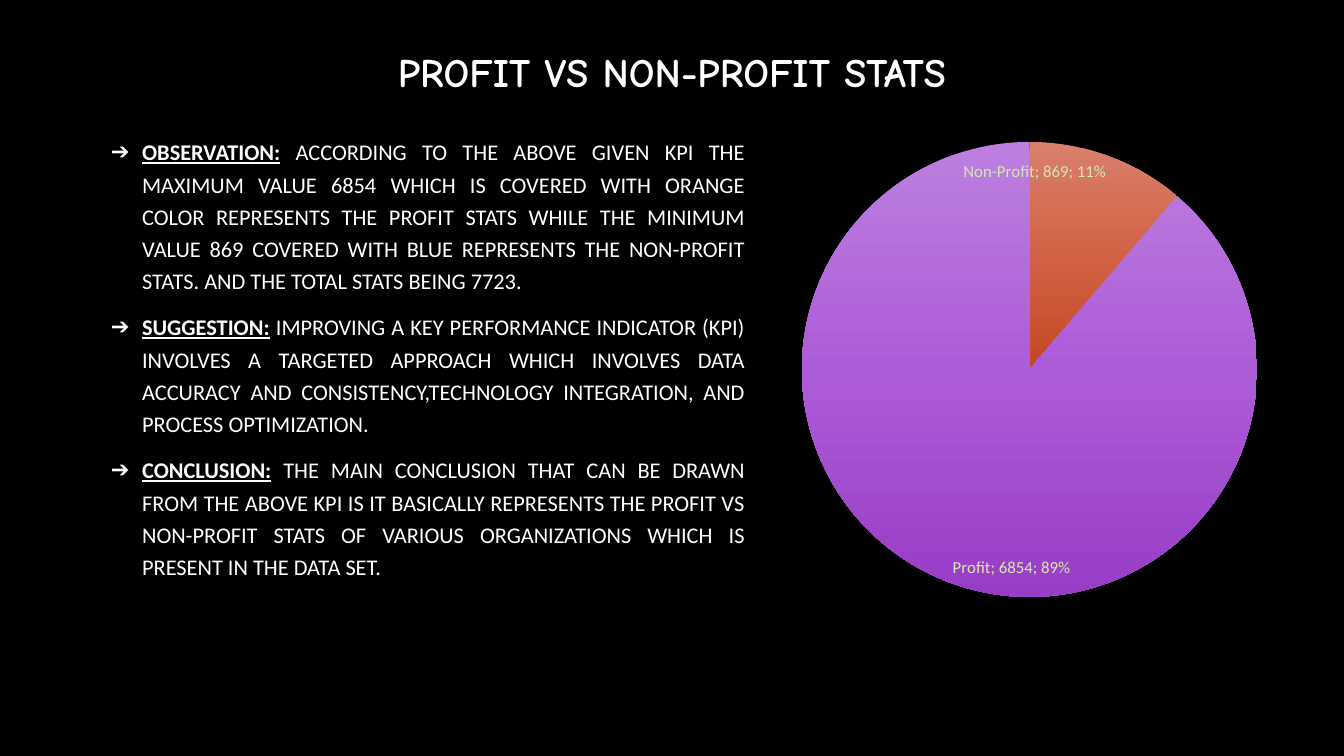
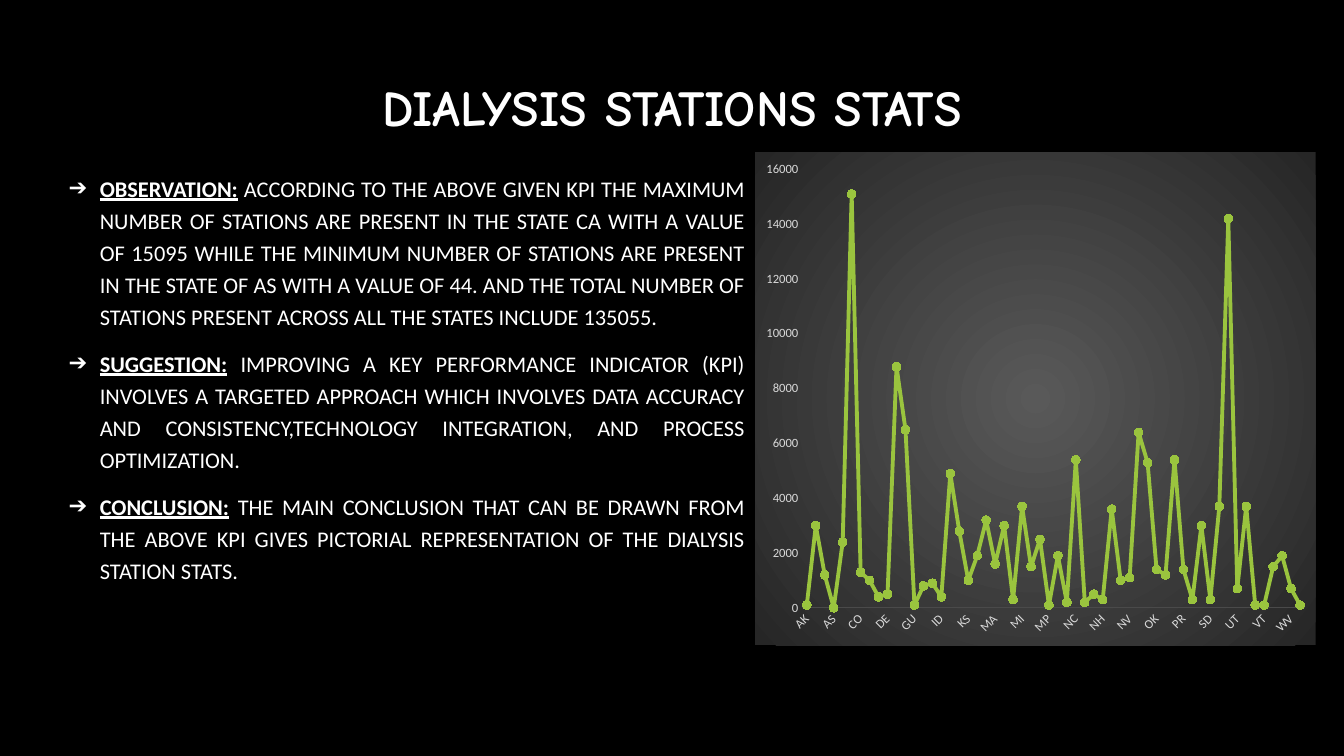
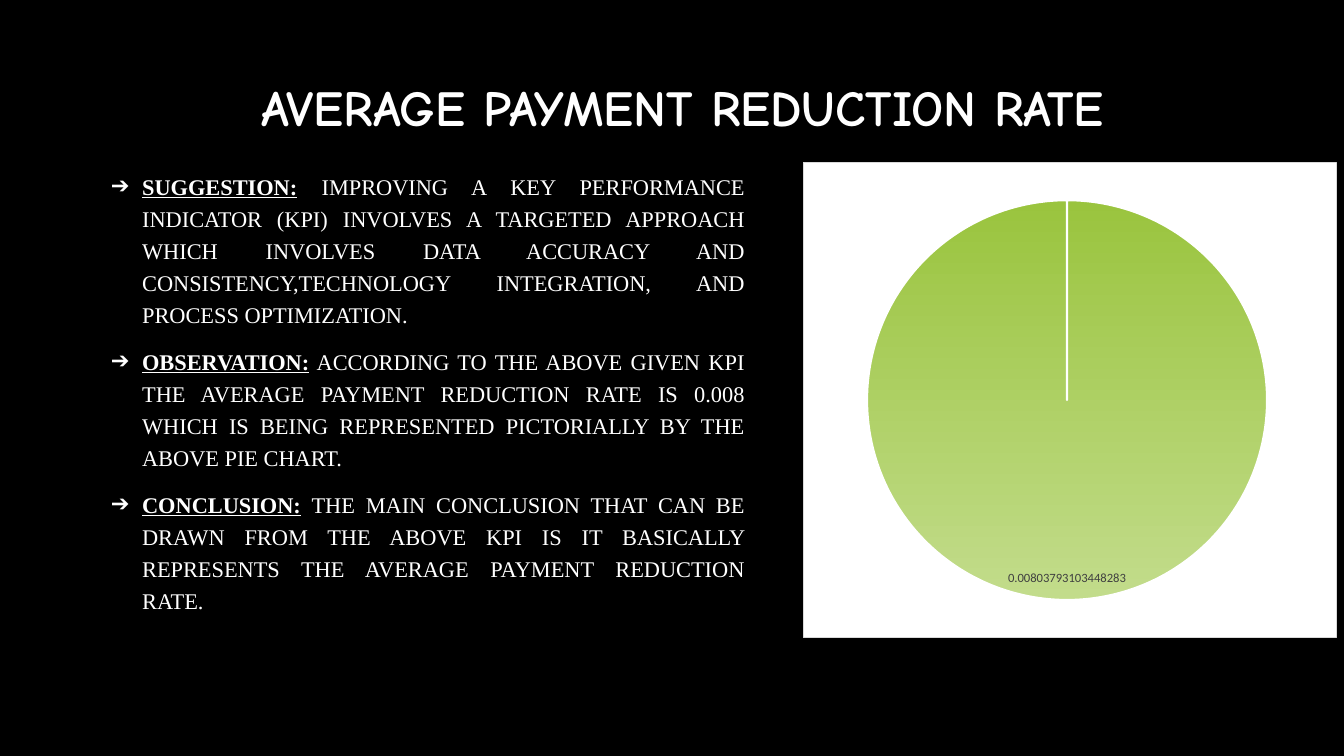
from dataclasses import dataclass

from lxml import etree
from pptx import Presentation
from pptx.chart.data import CategoryChartData
from pptx.dml.color import RGBColor
from pptx.enum import chart as ch, text as tx
from pptx.oxml import parse_xml
from pptx.oxml.ns import nsdecls, qn
from pptx.util import Inches, Pt


@dataclass(frozen=True)
class Theme:
    back: str = "000000"
    ink: str = "FFFFFF"
    pale: str = "D7E7B1"
    dark: str = "404040"
    gray: str = "D9D9D9"
    axis: str = "4A4A4A"
    green: str = "9AC43E"
    mark: str = "9CCB37"
    head: str = "Comic Neue"
    font: str = "Calibri"
    serif: str = "Times New Roman"
    big: float = 36
    mid: float = 28.8
    body: float = 16
    label: float = 12
    base: float = 10
    small: float = 9


T = Theme()
ORANGE = [(0, "D9806C"), (50, "D26245"), (100, "C34822")]
PURPLE = [(0, "BC7FDF"), (50, "AD5CD8"), (100, "983DC6")]
LIME = [(0, T.green), (100, "C2DC8B")]
PANEL = [(0, "595959"), (100, "262626")]

ADVICE = ("SUGGESTION: IMPROVING A KEY PERFORMANCE INDICATOR (KPI) INVOLVES A "
          "TARGETED APPROACH WHICH INVOLVES DATA ACCURACY AND "
          "CONSISTENCY,TECHNOLOGY INTEGRATION, AND PROCESS OPTIMIZATION.")
PROFIT = [
    "OBSERVATION: ACCORDING TO THE ABOVE GIVEN KPI THE MAXIMUM VALUE 6854 "
    "WHICH IS COVERED WITH ORANGE COLOR REPRESENTS THE PROFIT STATS WHILE THE "
    "MINIMUM VALUE 869 COVERED WITH BLUE REPRESENTS THE NON-PROFIT STATS. "
    "AND THE TOTAL STATS BEING 7723.",
    ADVICE,
    "CONCLUSION: THE MAIN CONCLUSION THAT CAN BE DRAWN FROM THE ABOVE KPI IS "
    "IT BASICALLY REPRESENTS THE PROFIT VS NON-PROFIT STATS OF VARIOUS "
    "ORGANIZATIONS WHICH IS PRESENT IN THE DATA SET.",
]
UNITS = [
    "OBSERVATION: ACCORDING TO THE ABOVE GIVEN KPI THE MAXIMUM NUMBER OF "
    "STATIONS ARE PRESENT IN THE STATE CA WITH A VALUE OF 15095 WHILE THE "
    "MINIMUM NUMBER OF STATIONS ARE PRESENT IN THE STATE OF AS WITH A VALUE "
    "OF 44. AND THE TOTAL NUMBER OF STATIONS PRESENT ACROSS ALL THE STATES "
    "INCLUDE 135055.",
    ADVICE,
    "CONCLUSION: THE MAIN CONCLUSION THAT CAN BE DRAWN FROM THE ABOVE KPI "
    "GIVES PICTORIAL REPRESENTATION OF THE DIALYSIS STATION STATS.",
]
RATE = [
    ADVICE,
    "OBSERVATION: ACCORDING TO THE ABOVE GIVEN KPI THE AVERAGE PAYMENT "
    "REDUCTION RATE IS 0.008 WHICH IS BEING REPRESENTED PICTORIALLY BY THE "
    "ABOVE PIE CHART.",
    "CONCLUSION: THE MAIN CONCLUSION THAT CAN BE DRAWN FROM THE ABOVE KPI IS "
    "IT BASICALLY REPRESENTS THE AVERAGE PAYMENT REDUCTION RATE.",
]
STATES = (
    "AK AL AR AS AZ CA CO CT DC DE FL GA GU HI IA ID IL IN KS KY LA MA MD ME "
    "MI MN MO MP MS MT NC ND NE NH NJ NM NV NY OH OK OR PA PR RI SC SD TN TX "
    "UT VA VI VT WA WI WV WY").split()
COUNTS = [
    100, 3000, 1200, 0, 2400, 15100, 1300, 1000, 400, 500, 8800, 6500, 100,
    800, 900, 400, 4900, 2800, 1000, 1900, 3200, 1600, 3000, 300, 3700, 1500,
    2500, 100, 1900, 200, 5400, 200, 500, 300, 3600, 1000, 1100, 6400, 5300,
    1400, 1200, 5400, 1400, 300, 3000, 300, 3700, 14200, 700, 3700, 100, 100,
    1500, 1900, 700, 100]


def rgb(code):
    return RGBColor.from_string(code)


def style(font, size, color, name=T.font):
    font.size, font.name = Pt(size), name
    font.color.rgb = rgb(color)


def place(shape, box):
    shape.left, shape.top, shape.width, shape.height = map(Inches, box)


def title(slide, words, box, size=T.big):
    shape = slide.shapes.title
    place(shape, box)
    frame = shape.text_frame
    frame.word_wrap = True
    frame.auto_size = tx.MSO_AUTO_SIZE.NONE
    frame.vertical_anchor = tx.MSO_ANCHOR.BOTTOM
    frame.margin_bottom = Inches(0.54)
    frame.text = words
    para = frame.paragraphs[0]
    para.alignment = tx.PP_ALIGN.CENTER
    para.line_spacing = 0.9
    style(para.font, size, T.ink, T.head)
    para.font.bold = True


def bullet(para):
    props = para._p.get_or_add_pPr()
    props.set("marL", str(Inches(0.31)))
    props.set("indent", str(-Inches(0.31)))
    color = etree.SubElement(props, qn("a:buClr"))
    etree.SubElement(color, qn("a:srgbClr")).set("val", T.ink)
    etree.SubElement(props, qn("a:buChar")).set("char", "➔")


def points(slide, items, box, name=T.font):
    """Fill the body with arrowed items, each led by an underlined word."""
    shape = slide.placeholders[1]
    place(shape, box)
    frame = shape.text_frame
    frame.word_wrap = True
    frame.auto_size = tx.MSO_AUTO_SIZE.NONE
    for i, item in enumerate(items):
        para = frame.add_paragraph() if i else frame.paragraphs[0]
        bullet(para)
        para.alignment = tx.PP_ALIGN.JUSTIFY
        para.line_spacing = 1.2
        para.space_before = Pt(10)
        style(para.font, T.body, T.ink, name)
        lead, colon, rest = item.partition(":")
        run = para.add_run()
        run.text = lead + colon
        run.font.bold = run.font.underline = True
        para.add_run().text = rest


def blend(stops, round=False):
    """Gradient fill: downwards, or from the centre when round."""
    marks = "".join(f'<a:gs pos="{pos * 1000}"><a:srgbClr val="{code}"/></a:gs>'
                    for pos, code in stops)
    way = ('<a:path path="circle"><a:fillToRect l="50000" t="50000" '
           'r="50000" b="50000"/></a:path>' if round
           else '<a:lin ang="5400000" scaled="0"/>')
    return (f'<a:gradFill {nsdecls("a")} rotWithShape="1">'
            f'<a:gsLst>{marks}</a:gsLst>{way}</a:gradFill>')


def solid(code):
    return f'<a:solidFill><a:srgbClr val="{code}"/></a:solidFill>'


def plate(chart, fill="<a:noFill/>", line="<a:noFill/>"):
    """Paint the chart's own background and border."""
    props = parse_xml(f'<c:spPr {nsdecls("c", "a")}>{fill}'
                      f'<a:ln w="9525">{line}</a:ln></c:spPr>')
    chart._chartSpace.find(qn("c:chart")).addnext(props)


def graph(slide, kind, box, cats, vals):
    data = CategoryChartData()
    data.categories = cats
    data.add_series("Series 1", vals)
    chart = slide.shapes.add_chart(kind, *map(Inches, box), data).chart
    chart.has_title = chart.has_legend = False
    style(chart.font, T.base, T.ink)
    return chart


def layout(chart, area):
    """Fix the inner plot area, as shares of the chart."""
    plot = chart._chartSpace.find(".//" + qn("c:plotArea"))
    for old in plot.findall(qn("c:layout")):
        plot.remove(old)
    sizes = "".join(f'<c:{tag} val="{val}"/>' for tag, val in zip("xywh", area))
    plot.insert(0, parse_xml(
        f'<c:layout {nsdecls("c")}><c:manualLayout>'
        '<c:layoutTarget val="inner"/><c:xMode val="edge"/>'
        f'<c:yMode val="edge"/>{sizes}</c:manualLayout></c:layout>'))


def pie(slide, box, cats, vals, fills, size, color, spot, edge=None):
    chart = graph(slide, ch.XL_CHART_TYPE.PIE, box, cats, vals)
    plot = chart.plots[0]
    plot.vary_by_categories = True
    for i, stops in enumerate(fills):
        form = plot.series[0].points[i].format
        form._element.get_or_add_spPr().append(parse_xml(blend(stops)))
        if edge:
            form.line.color.rgb = rgb(edge)
            form.line.width = Pt(1.5)
        else:
            form.line.fill.background()
    plot.has_data_labels = True
    tags = plot.data_labels
    style(tags.font, size, color)
    tags.show_value = True
    tags.show_category_name = tags.show_percentage = len(cats) > 1
    tags.position = spot
    return chart


def trend(slide, box, cats, vals):
    chart = graph(slide, ch.XL_CHART_TYPE.LINE_MARKERS, box, cats, vals)
    plate(chart, blend(PANEL, round=True))
    chart.plots[0].vary_by_categories = False
    line = chart.plots[0].series[0]
    line.smooth = False
    line.format.line.color.rgb = rgb(T.green)
    line.format.line.width = Pt(2.75)
    mark = line.marker
    mark.style, mark.size = ch.XL_MARKER_STYLE.CIRCLE, 6
    mark.format.fill.solid()
    mark.format.fill.fore_color.rgb = rgb(T.mark)
    mark.format.line.color.rgb = rgb(T.mark)
    for axis in (chart.category_axis, chart.value_axis):
        axis.has_major_gridlines = False
        axis.major_tick_mark = axis.minor_tick_mark = ch.XL_TICK_MARK.NONE
        style(axis.tick_labels.font, T.small, T.gray)
    chart.value_axis.format.line.fill.background()
    chart.value_axis.minimum_scale = 0
    chart.value_axis.maximum_scale = 16000
    chart.value_axis.major_unit = 2000
    base = chart.category_axis
    base.format.line.color.rgb = rgb(T.axis)
    base.format.line.width = Pt(0.75)
    turn = base._element.find(qn("c:txPr")).find(qn("a:bodyPr"))
    turn.set("rot", "-2700000")
    turn.set("vert", "horz")


def main():
    deck = Presentation()
    deck.slide_width, deck.slide_height = Inches(13.33), Inches(7.5)
    ground = deck.slide_master.background.fill
    ground.solid()
    ground.fore_color.rgb = rgb(T.back)
    one, two, three = (deck.slides.add_slide(deck.slide_layouts[1])
                       for _ in range(3))

    title(one, "PROFIT VS NON-PROFIT STATS", (1, 0.44, 11.33, 1.05), T.mid)
    points(one, PROFIT, (1, 1.27, 6.49, 5.06))
    chart = pie(one, (7.54, 1.27, 5.34, 4.79), ["Non-Profit", "Profit"],
                [869, 6854], [ORANGE, PURPLE], T.label, T.pale,
                ch.XL_LABEL_POSITION.INSIDE_END)
    plate(chart)

    title(two, "DIALYSIS STATIONS STATS", (1, 0.67, 11.33, 1.23))
    points(two, UNITS, (0.58, 1.63, 6.91, 5.49))
    trend(two, (7.49, 1.51, 5.56, 4.89), STATES, COUNTS)

    title(three, "AVERAGE PAYMENT REDUCTION RATE", (1, 0.67, 11.54, 1.23))
    points(three, RATE, (1, 1.61, 6.49, 4.72), T.serif)
    chart = pie(three, (7.96, 1.61, 5.3, 4.72), ["1"], [0.008038], [LIME],
                T.small, T.dark, ch.XL_LABEL_POSITION.BEST_FIT, T.ink)
    layout(chart, (0.12, 0, 0.75, 1))
    plate(chart, solid(T.ink), solid(T.gray))
    tags = chart.plots[0].data_labels
    tags.number_format = '"0.00803793103448283"'
    tags.number_format_is_linked = False

    deck.save("out.pptx")


if __name__ == "__main__":
    main()
